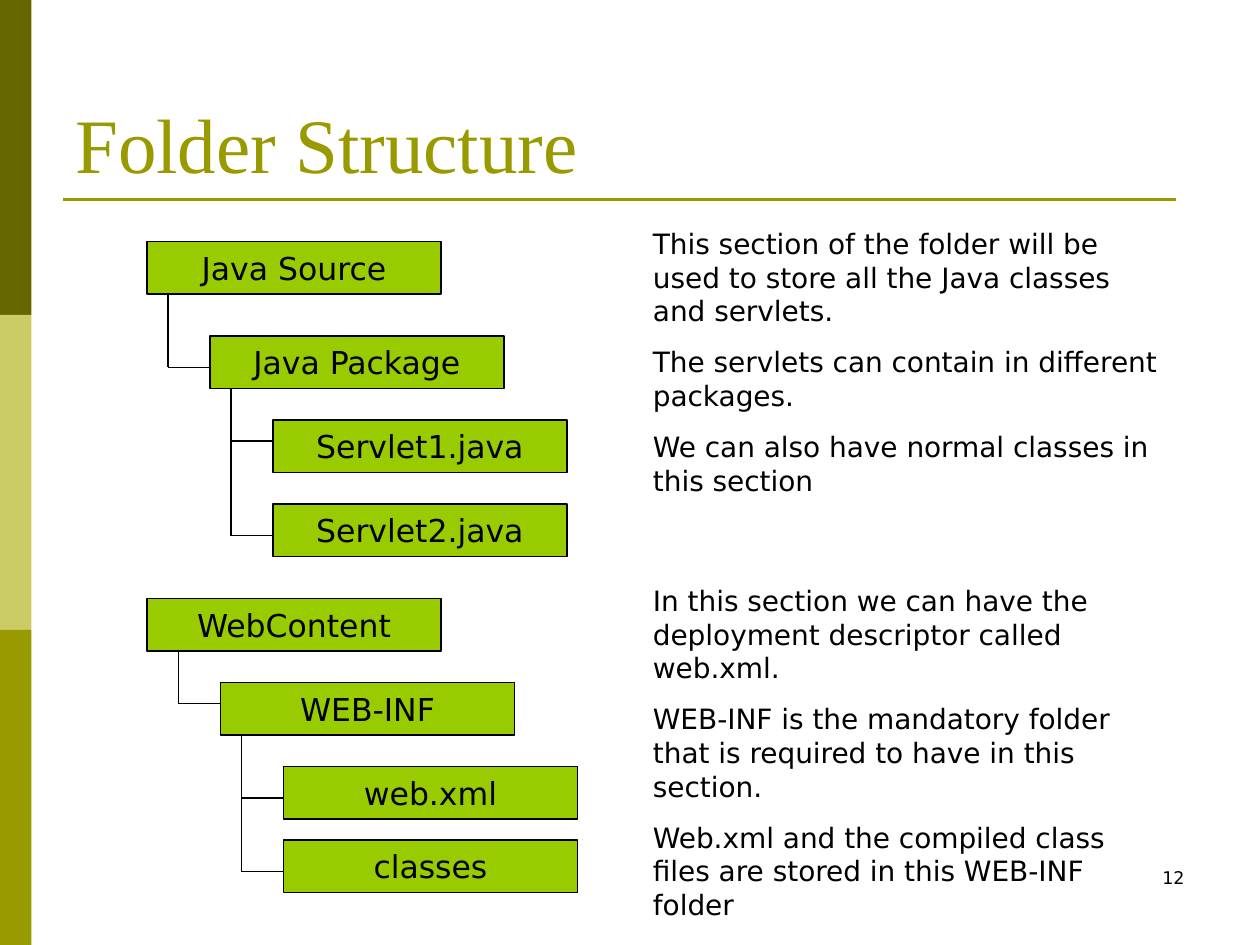
import pptx
import pptx.dml.color
import pptx.enum.shapes
import pptx.enum.text
import pptx.oxml.ns
import pptx.util
from dataclasses import dataclass
from lxml import etree

Pt = pptx.util.Pt
Align = pptx.enum.text.PP_ALIGN
Anchor = pptx.enum.text.MSO_ANCHOR
Fit = pptx.enum.text.MSO_AUTO_SIZE
RECT = pptx.enum.shapes.MSO_SHAPE.RECTANGLE
LINE = pptx.enum.shapes.MSO_CONNECTOR.STRAIGHT


@dataclass(frozen=True)
class Theme:
    bands: tuple = ("666600", "CCCC66", "999900")
    accent: str = "999900"
    box: str = "99CC00"
    ink: str = "000000"
    serif: str = "Times New Roman"
    sans: str = "DejaVu Sans"
    title: int = 44
    label: int = 18
    body: int = 16
    number: int = 10
    thin: float = 0.75
    rule: float = 1.5


THEME = Theme()
BOX_W, BOX_H = 168, 30
INDENT = 24  # from a trunk to the boxes it leads to

# Each folder: name, left, top, index of its parent, branch height in the box
SOURCE = [
    ("Java Source", 84, 138, None, 0),
    ("Java Package", 120, 192, 0, 18),
    ("Servlet1.java", 156, 240, 1, 12),
    ("Servlet2.java", 156, 288, 1, 18),
]
WEB = [
    ("WebContent", 84, 342, None, 0),
    ("WEB-INF", 126, 390, 0, 12),
    ("web.xml", 162, 438, 1, 18),
    ("classes", 162, 480, 1, 18),
]
SOURCE_NOTES = [
    "This section of the folder will be used to store all the Java classes and servlets.",
    "The servlets can contain in different packages.",
    "We can also have normal classes in this section",
]
WEB_NOTES = [
    "In this section we can have the deployment descriptor called web.xml.",
    "WEB-INF is the mandatory folder that is required to have in this section.",
    "Web.xml and the compiled class files are stored in this WEB-INF folder",
]


def rgb(code):
    return pptx.dml.color.RGBColor.from_string(code)


def style(par, size, face, color, align=Align.LEFT):
    par.alignment = align
    par.font.size = Pt(size)
    par.font.name = face
    par.font.color.rgb = rgb(color)


def add_rect(slide, left, top, width, height, fill, line=None):
    shape = slide.shapes.add_shape(RECT, Pt(left), Pt(top), Pt(width), Pt(height))
    shape.shadow.inherit = False
    shape.fill.solid()
    shape.fill.fore_color.rgb = rgb(fill)
    if line:
        shape.line.color.rgb = rgb(line)
        shape.line.width = Pt(THEME.thin)
    else:
        shape.line.fill.background()
    return shape


def add_line(slide, start, end, color=THEME.ink, width=THEME.thin):
    line = slide.shapes.add_connector(LINE, *map(Pt, start + end))
    line.line.color.rgb = rgb(color)
    line.line.width = Pt(width)
    props = line._element.spPr
    etree.SubElement(props, pptx.oxml.ns.qn("a:effectLst"))


def add_text(slide, area, lines, size, face=THEME.sans, color=THEME.ink,
             align=Align.LEFT, anchor=Anchor.TOP, before=0, fit=Fit.NONE):
    frame = slide.shapes.add_textbox(*map(Pt, area)).text_frame
    frame.word_wrap = True
    frame.auto_size = fit
    frame.vertical_anchor = anchor
    frame.text = "\n".join(lines)
    for par in frame.paragraphs:
        style(par, size, face, color, align)
        par.space_before = Pt(before)


def add_box(slide, name, left, top):
    frame = add_rect(slide, left, top, BOX_W, BOX_H, THEME.box, THEME.ink).text_frame
    frame.word_wrap = False
    frame.vertical_anchor = Anchor.MIDDLE
    frame.text = name
    style(frame.paragraphs[0], THEME.label, THEME.sans, THEME.ink, Align.CENTER)


def add_tree(slide, nodes):
    for name, left, top, _, _ in nodes:
        add_box(slide, name, left, top)
    # One trunk below each parent, one branch to each child
    for index, (_, _, top, _, _) in enumerate(nodes):
        kids = [(x, y + drop) for _, x, y, parent, drop in nodes if parent == index]
        if not kids:
            continue
        trunk = kids[0][0] - INDENT
        add_line(slide, (trunk, top + BOX_H), (trunk, kids[-1][1]))
        for x, y in kids:
            add_line(slide, (trunk, y), (x, y))


def add_notes(slide, top, height, lines):
    add_text(slide, (366, top, 306, height), lines, THEME.body,
             before=10, fit=Fit.SHAPE_TO_FIT_TEXT)


def main():
    deck = pptx.Presentation()
    deck.slide_width, deck.slide_height = Pt(720), Pt(540)
    slide = deck.slides.add_slide(deck.slide_layouts[6])

    # Side bands and title rule
    for row, color in enumerate(THEME.bands):
        add_rect(slide, 0, row * 180, 18, 180, color)
    add_line(slide, (36, 114), (672, 114), THEME.accent, THEME.rule)

    # Title
    add_text(slide, (36, 21.6, 648, 90), ["Folder Structure"], THEME.title,
             THEME.serif, THEME.accent, anchor=Anchor.BOTTOM)

    # Folder trees
    add_tree(slide, SOURCE)
    add_tree(slide, WEB)

    # Explanations
    add_notes(slide, 126, 162, SOURCE_NOTES)
    add_notes(slide, 330, 142.5, WEB_NOTES)

    # Page number
    add_text(slide, (516, 492, 168, 36), ["12"], THEME.number, align=Align.RIGHT)

    deck.save("out.pptx")


if __name__ == "__main__":
    main()
